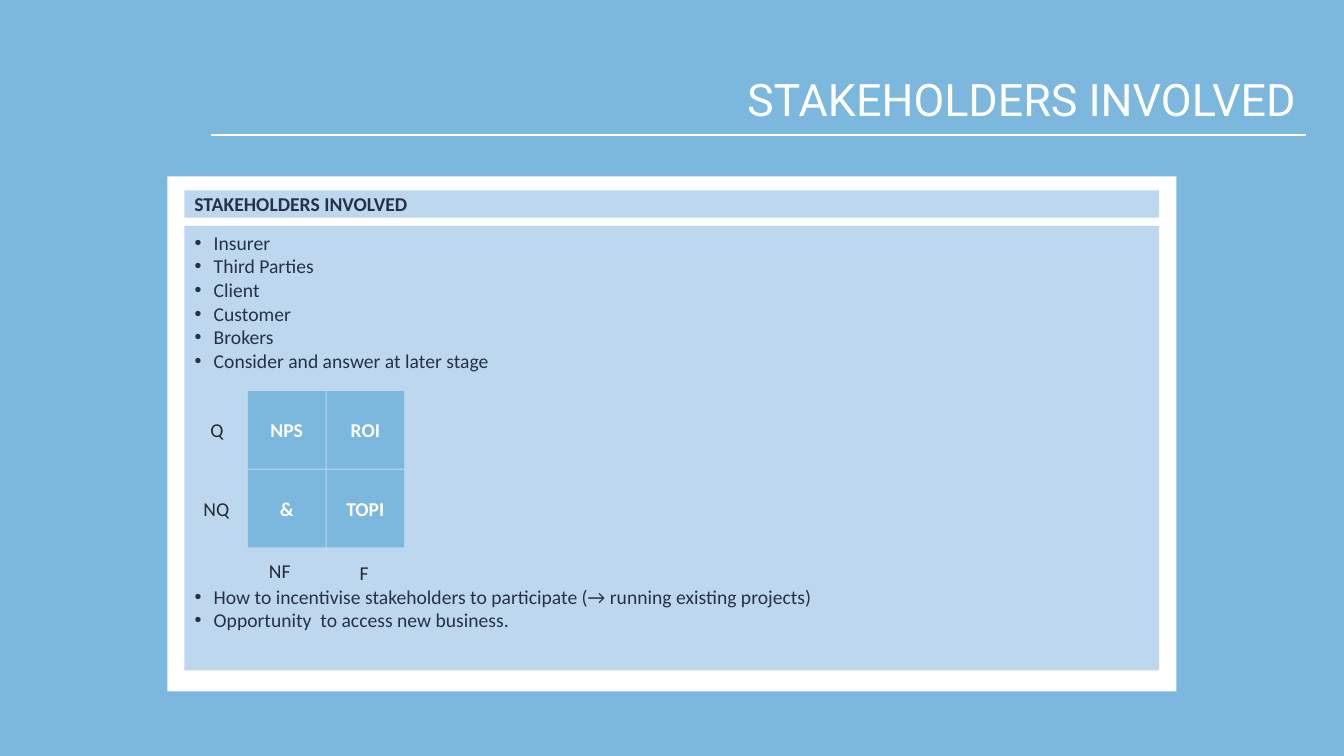
from dataclasses import dataclass
from typing import NamedTuple

from lxml.etree import SubElement
from pptx import Presentation
from pptx.dml.color import RGBColor
from pptx.enum.shapes import MSO_CONNECTOR, MSO_SHAPE
from pptx.enum.text import MSO_ANCHOR, MSO_AUTO_SIZE, PP_ALIGN
from pptx.oxml.ns import qn
from pptx.util import Inches, Pt

SLIDE_W, SLIDE_H = Inches(13.333), Inches(7.5)
COLS, ROWS = 40, 30


@dataclass(frozen=True)
class Theme:
    sky: RGBColor = RGBColor(0x7C, 0xB7, 0xDD)
    pale: RGBColor = RGBColor(0xBD, 0xD7, 0xEE)
    white: RGBColor = RGBColor(0xFF, 0xFF, 0xFF)
    navy: RGBColor = RGBColor(0x26, 0x31, 0x47)
    slate: RGBColor = RGBColor(0x22, 0x2A, 0x35)
    title_font: str = "Roboto"
    body_font: str = "Calibri"
    title_size: Pt = Pt(32)
    body_size: Pt = Pt(14)
    matrix_gap: Pt = Pt(152)


THEME = Theme()


def across(cols: float) -> int:
    return round(SLIDE_W * cols / COLS)


def down(rows: float) -> int:
    return round(SLIDE_H * rows / ROWS)


class Box(NamedTuple):
    """A place on the slide, in grid columns and rows."""
    col: float
    row: float
    cols: float
    rows: float

    def emu(self) -> tuple[int, int, int, int]:
        return across(self.col), down(self.row), across(self.cols), down(self.rows)


class AxisLabel(NamedTuple):
    text: str
    box: Box


TITLE = Box(5.49, 2.64, 33.39, 2.56)
CARD = Box(4.98, 7, 30.03, 20.44)
HEADER = Box(5.49, 7.56, 29.01, 1.08)
BODY = Box(5.49, 8.96, 29.01, 17.64)

STAKEHOLDERS = ["Insurer", "Third Parties", "Client", "Customer", "Brokers",
                "Consider and answer at later stage"]
QUESTIONS = ["How to incentivise stakeholders to participate (→ running existing projects)",
             "Opportunity  to access new business."]

MATRIX = [["NPS", "ROI"], ["&", "TOPI"]]
MATRIX_COL, MATRIX_ROW = 7.38, 15.52
PITCH_COLS, PITCH_ROWS = 2.34, 3.12
CELL_COLS, CELL_ROWS = 2.31, 3.08
AXIS_LABELS = [
    AxisLabel("Q", Box(5.97, 16.4, 1.17, 1.36)),
    AxisLabel("NQ", Box(5.76, 19.52, 1.62, 1.36)),
    AxisLabel("NF", Box(7.71, 22, 1.62, 1.36)),
    AxisLabel("F", Box(10.41, 22.08, 1.62, 1.36)),
]


def format_text(p, color: RGBColor, bold: bool = False, align=PP_ALIGN.LEFT,
                font: str = THEME.body_font, size: Pt = THEME.body_size) -> None:
    p.alignment = align
    for r in p.runs:
        r.font.name, r.font.size, r.font.bold = font, size, bold
        r.font.color.rgb = color


def place(sp, box: Box) -> None:
    sp.left, sp.top, sp.width, sp.height = box.emu()


def add_panel(slide, box: Box, fill: RGBColor, text: str = "",
              color: RGBColor = THEME.white, align=PP_ALIGN.CENTER):
    sp = slide.shapes.add_shape(MSO_SHAPE.RECTANGLE, *box.emu())
    sp.shadow.inherit = False
    sp.fill.solid()
    sp.fill.fore_color.rgb = fill
    sp.line.fill.background()
    if text:
        tf = sp.text_frame
        tf.text = text
        tf.vertical_anchor = MSO_ANCHOR.MIDDLE
        format_text(tf.paragraphs[0], color, bold=True, align=align)
    return sp


def add_label(slide, label: AxisLabel) -> None:
    tf = slide.shapes.add_textbox(*label.box.emu()).text_frame
    tf.word_wrap = True
    tf.text = label.text
    format_text(tf.paragraphs[0], THEME.slate)


def add_rule(slide) -> None:
    y = down(5.36)
    line = slide.shapes.add_connector(MSO_CONNECTOR.STRAIGHT, across(6.27), y, across(38.88), y)
    line.line.color.rgb = THEME.white
    line.line.width = Pt(1)
    SubElement(line._element.spPr, qn("a:effectLst"))


def set_bullet(p) -> None:
    pPr = p._p.get_or_add_pPr()
    pPr.set("marL", str(Inches(0.19)))
    pPr.set("indent", str(-Inches(0.19)))
    SubElement(pPr, qn("a:buFont")).set("typeface", "Arial")
    SubElement(pPr, qn("a:buChar")).set("char", "•")


def fill_title(title) -> None:
    place(title, TITLE)
    tf = title.text_frame
    tf.text = "STAKEHOLDERS INVOLVED"
    tf.auto_size = MSO_AUTO_SIZE.NONE
    tf.vertical_anchor = MSO_ANCHOR.TOP
    format_text(tf.paragraphs[0], THEME.white, align=PP_ALIGN.RIGHT,
                font=THEME.title_font, size=THEME.title_size)


def fill_body(body) -> None:
    place(body, BODY)
    body.fill.solid()
    body.fill.fore_color.rgb = THEME.pale
    tf = body.text_frame
    tf.text = "\n".join(STAKEHOLDERS + QUESTIONS)
    tf.auto_size = MSO_AUTO_SIZE.NONE
    tf.vertical_anchor = MSO_ANCHOR.TOP
    for i, p in enumerate(tf.paragraphs):
        p.space_before = THEME.matrix_gap if i == len(STAKEHOLDERS) else Pt(0)
        p.space_after = Pt(0)
        p.line_spacing = 1.0
        set_bullet(p)
        format_text(p, THEME.navy)


def main() -> None:
    prs = Presentation()
    prs.slide_width, prs.slide_height = SLIDE_W, SLIDE_H
    slide = prs.slides.add_slide(prs.slide_layouts[1])
    slide.background.fill.solid()
    slide.background.fill.fore_color.rgb = THEME.sky

    title, body = slide.placeholders
    fill_title(title)
    add_rule(slide)
    card = add_panel(slide, CARD, THEME.white)
    fill_body(body)
    card._element.addnext(body._element)  # the list sits on top of the card
    add_panel(slide, HEADER, THEME.pale, "STAKEHOLDERS INVOLVED", THEME.navy, PP_ALIGN.LEFT)

    for i, names in enumerate(MATRIX):
        for j, name in enumerate(names):
            cell = Box(MATRIX_COL + j * PITCH_COLS, MATRIX_ROW + i * PITCH_ROWS,
                       CELL_COLS, CELL_ROWS)
            add_panel(slide, cell, THEME.sky, name)
    for label in AXIS_LABELS:
        add_label(slide, label)
    prs.save("out.pptx")


if __name__ == "__main__":
    main()
